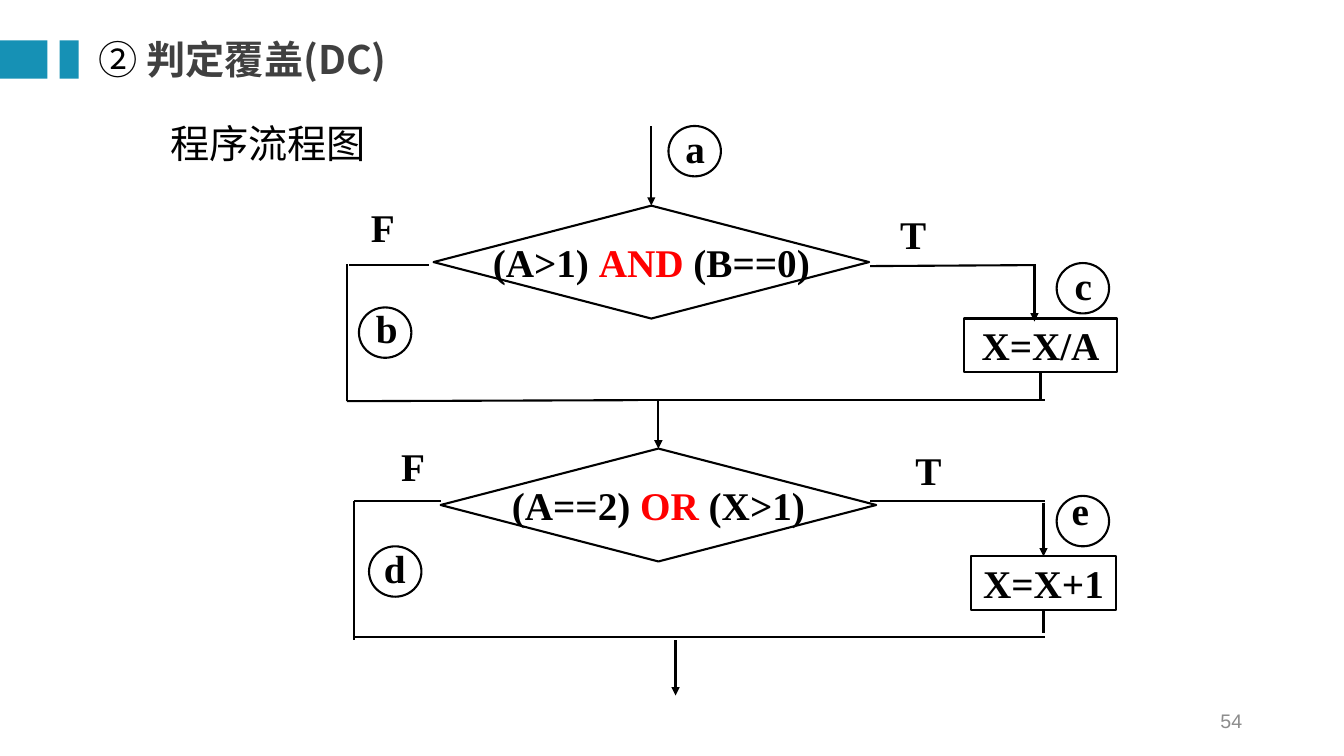
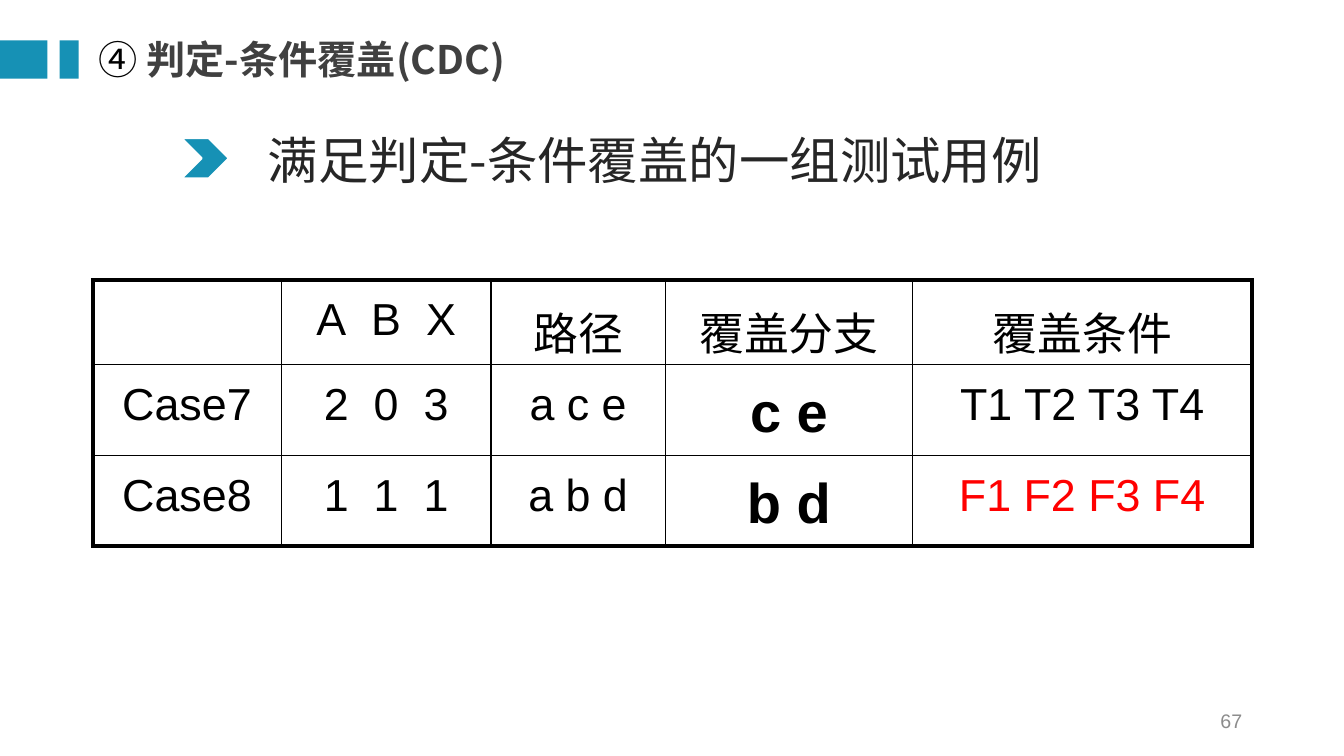
from dataclasses import dataclass, replace

from lxml import etree
from pptx import Presentation
from pptx.dml.color import RGBColor
from pptx.enum.shapes import MSO_CONNECTOR, MSO_SHAPE
from pptx.enum.text import MSO_ANCHOR, PP_ALIGN
from pptx.oxml.ns import qn
from pptx.util import Pt

RECTANGLE, DIAMOND = MSO_SHAPE.RECTANGLE, MSO_SHAPE.DIAMOND
ELLIPSE, CHEVRON = MSO_SHAPE.OVAL, MSO_SHAPE.CHEVRON
STRAIGHT = MSO_CONNECTOR.STRAIGHT
LEFT, CENTER, RIGHT = PP_ALIGN.LEFT, PP_ALIGN.CENTER, PP_ALIGN.RIGHT
TOP, MIDDLE = MSO_ANCHOR.TOP, MSO_ANCHOR.MIDDLE

BLACK = RGBColor(0x00, 0x00, 0x00)
WHITE = RGBColor(0xFF, 0xFF, 0xFF)
RED = RGBColor(0xFF, 0x00, 0x00)
TEAL = RGBColor(0x16, 0x91, 0xB5)
TITLE_GRAY = RGBColor(0x40, 0x40, 0x40)
TEXT_GRAY = RGBColor(0x26, 0x26, 0x26)
NUMBER_GRAY = RGBColor(0x8C, 0x8C, 0x8C)

HAN, SERIF, SANS, NUMERAL = "Noto Sans CJK SC", "Times New Roman", "Arial", "Lato"
PX = 9144  # 100 px to the inch
LINE_WIDTH = Pt(1.5)
SIDE_TOP, SIDE_BOTTOM = 0, 2


@dataclass(frozen=True)
class Span:
    text: str
    font: str = SERIF
    size: int = 28
    color: RGBColor = BLACK
    bold: bool = False
    spacing: int = 0  # hundredths of a point


@dataclass(frozen=True)
class Step:
    name: str
    preset: int
    box: tuple[int, int, int, int]
    spans: list[Span]


@dataclass(frozen=True)
class Badge:
    letter: str
    left: int
    top: int
    shift_x: int = 7
    shift_y: int = -7


@dataclass(frozen=True)
class Flow:
    start: tuple[int, int]
    end: tuple[int, int]
    arrow: bool = False
    leaves: str = ""
    enters: str = ""


def code(text: str, color: RGBColor = BLACK) -> Span:
    return Span(text, color=color, bold=True)


# Flowchart content
STEPS = [
    Step("and", DIAMOND, (430, 204, 432, 112),
         [code("(A>1) "), code("AND ", RED), code("(B==0)")]),
    Step("or", DIAMOND, (437, 445, 432, 112),
         [code("(A==2) "), code("OR", RED), code(" (X>1)")]),
    Step("divide", RECTANGLE, (956, 316, 152, 53), [code("X=X/A")]),
    Step("increment", RECTANGLE, (963, 552, 144, 53), [code("X=X+1")]),
]
BADGES = [
    Badge("a", 663, 125),
    Badge("b", 356, 305, shift_y=-8),
    Badge("c", 1048, 261, shift_x=8),
    Badge("d", 366, 542, shift_x=5),
    Badge("e", 1048, 492, shift_x=5, shift_y=-14),
]
BRANCHES = [("F", 358, 197), ("F", 388, 434), ("T", 883, 204), ("T", 898, 438)]
FLOWS = [
    # First decision
    Flow((646, 125), (646, 204), arrow=True, enters="and"),
    Flow((425, 263), (346, 263)),
    Flow((344, 262), (344, 398)),
    Flow((863, 264), (1026, 263)),
    Flow((1026, 262), (1026, 319), arrow=True),
    Flow((1032, 369), (1032, 398), leaves="divide"),
    Flow((344, 398), (633, 397)),
    Flow((596, 397), (1036, 397)),
    # Second decision
    Flow((653, 398), (653, 445), arrow=True, enters="or"),
    Flow((437, 497), (351, 497)),
    Flow((351, 497), (351, 635)),
    Flow((863, 497), (1036, 497)),
    Flow((1035, 499), (1035, 552), arrow=True, enters="increment"),
    Flow((1035, 605), (1035, 628), leaves="increment"),
    Flow((351, 632), (1036, 632)),
    Flow((670, 635), (670, 690), arrow=True),
]

# Test case table content
TABLE_LEFT, TABLE_TOP = 92, 278
COLUMN_WIDTHS = [187, 208, 173, 245, 337]
ROW_HEIGHTS = [84, 90, 90]
BODY = Span("", SANS, 32)
HEADING = replace(BODY, font=HAN)
BRANCH = replace(BODY, size=40, bold=True)


def spread(text: str) -> list[Span]:
    """Letters with double-width gaps between them."""
    gap = replace(BODY, text=" ", spacing=890)
    spans = []
    for letter in text.split():
        spans += [gap, replace(BODY, text=letter)]
    return spans[1:]


def case_row(name: str, values: str, route: str, branches: str,
             conditions: str, color: RGBColor = BLACK) -> list[list[Span]]:
    return [
        [replace(BODY, text=name)], spread(values), [replace(BODY, text=route)],
        [replace(BRANCH, text=branches)],
        [replace(BODY, text=conditions, color=color)],
    ]


ROWS = [
    [[], spread("A B X"),
     *([replace(HEADING, text=text)] for text in ("路径", "覆盖分支", "覆盖条件"))],
    case_row("Case7", "2 0 3", "a c e", "c e", "T1 T2 T3 T4"),
    case_row("Case8", "1 1 1", "a b d", "b d", "F1 F2 F3 F4", RED),
]


def px(*lengths: int) -> list[int]:
    return [length * PX for length in lengths]


def write(text_frame, spans: list[Span], align=LEFT, loose: bool = False) -> None:
    paragraph = text_frame.paragraphs[0]
    paragraph.alignment = align
    if loose:
        paragraph.line_spacing = 1.2
        properties = paragraph._p.get_or_add_pPr()
        before = etree.SubElement(properties, qn("a:spcBef"))
        etree.SubElement(before, qn("a:spcPct"), val="20000")
    for span in spans:
        run = paragraph.add_run()
        run.text = span.text
        run.font.name = span.font
        run.font.size = Pt(span.size)
        run.font.bold = span.bold
        run.font.color.rgb = span.color
        properties = run._r.get_or_add_rPr()
        etree.SubElement(properties, qn("a:ea"), typeface=HAN)
        if span.spacing:
            properties.set("spc", str(span.spacing))


def add_text(slide, box: tuple[int, int, int, int], spans: list[Span], align=LEFT,
             anchor=TOP, loose: bool = False, inset: bool = True) -> None:
    text_frame = slide.shapes.add_textbox(*px(*box)).text_frame
    text_frame.word_wrap = True
    text_frame.vertical_anchor = anchor
    if not inset:
        text_frame.margin_left = text_frame.margin_right = 0
        text_frame.margin_top = text_frame.margin_bottom = 0
    write(text_frame, spans, align, loose)


def add_shape(slide, preset: int, box: tuple[int, int, int, int],
              fill: RGBColor | None = None, line: RGBColor | None = None):
    shape = slide.shapes.add_shape(preset, *px(*box))
    shape.shadow.inherit = False
    if fill is None:
        shape.fill.background()
    else:
        shape.fill.solid()
        shape.fill.fore_color.rgb = fill
    if line is None:
        shape.line.fill.background()
    else:
        shape.line.color.rgb = line
        shape.line.width = LINE_WIDTH
    return shape


def add_flow(slide, flow: Flow, steps: dict) -> None:
    connector = slide.shapes.add_connector(STRAIGHT, *px(*flow.start, *flow.end))
    if flow.leaves:
        connector.begin_connect(steps[flow.leaves], SIDE_BOTTOM)
    if flow.enters:
        connector.end_connect(steps[flow.enters], SIDE_TOP)
    connector.line.color.rgb = BLACK
    connector.line.width = LINE_WIDTH
    properties = connector._element.spPr
    if flow.arrow:
        etree.SubElement(properties.find(qn("a:ln")), qn("a:tailEnd"), type="triangle")
    etree.SubElement(properties, qn("a:effectLst"))


def set_borders(cell, widths: dict[str, int]) -> None:
    properties = cell._tc.get_or_add_tcPr()
    for side, points in widths.items():
        line = etree.SubElement(properties, qn(f"a:ln{side}"), w=str(Pt(points)))
        fill = etree.SubElement(line, qn("a:solidFill"))
        etree.SubElement(fill, qn("a:srgbClr"), val=str(BLACK))


def add_slide(presentation, numeral: str, title: str, number: str):
    """Blank slide with the shared title bars, title and page number."""
    slide = presentation.slides.add_slide(presentation.slide_layouts[6])
    for left, width in ((0, 47), (59, 19)):
        add_shape(slide, RECTANGLE, (left, 40, width, 38), fill=TEAL)
    add_text(slide, (98, 31, 807, 55),
             [Span(f"{numeral} ", NUMERAL), Span(title, HAN, color=TITLE_GRAY, bold=True)],
             anchor=MIDDLE, inset=False)
    add_text(slide, (942, 695, 300, 40), [Span(number, SANS, 14, NUMBER_GRAY)],
             align=RIGHT, anchor=MIDDLE)
    return slide


def build_flowchart(presentation) -> None:
    slide = add_slide(presentation, "②", "判定覆盖(DC)", "54")
    add_text(slide, (159, 113, 297, 57), [Span("程序流程图", HAN)])
    steps = {}
    for step in STEPS:
        shape = add_shape(slide, step.preset, step.box, line=BLACK)
        shape.text_frame.word_wrap = False
        shape.text_frame.vertical_anchor = MIDDLE
        write(shape.text_frame, step.spans, CENTER)
        steps[step.name] = shape
    for flow in FLOWS:
        add_flow(slide, flow, steps)
    labels = list(BRANCHES)
    for badge in BADGES:
        add_shape(slide, ELLIPSE, (badge.left, badge.top, 52, 50), WHITE, BLACK)
        labels.append((badge.letter, badge.left + badge.shift_x, badge.top + badge.shift_y))
    for text, left, top in labels:
        add_text(slide, (left, top, 47, 57), [code(text)])


def build_test_cases(presentation) -> None:
    slide = add_slide(presentation, "④", "判定-条件覆盖(CDC)", "67")
    add_shape(slide, CHEVRON, (180, 137, 47, 40), TEAL, WHITE)
    add_text(slide, (256, 111, 873, 83),
             [Span("满足判定-条件覆盖的一组测试用例", HAN, 36, TEXT_GRAY)], loose=True)

    table = slide.shapes.add_table(
        len(ROW_HEIGHTS), len(COLUMN_WIDTHS),
        *px(TABLE_LEFT, TABLE_TOP, sum(COLUMN_WIDTHS), sum(ROW_HEIGHTS))).table
    table.first_row = table.horz_banding = False
    for column, width in zip(table.columns, COLUMN_WIDTHS):
        column.width = width * PX
    for row, height in zip(table.rows, ROW_HEIGHTS):
        row.height = height * PX

    last_row, last_column = len(ROW_HEIGHTS) - 1, len(COLUMN_WIDTHS) - 1
    for row_index, row_spans in enumerate(ROWS):
        for column_index, spans in enumerate(row_spans):
            cell = table.cell(row_index, column_index)
            # Thick outer frame, thin inner grid
            outer = {"L": column_index == 0, "R": column_index == last_column,
                     "T": row_index == 0, "B": row_index == last_row}
            set_borders(cell, {side: 3 if edge else 1 for side, edge in outer.items()})
            cell.fill.background()
            write(cell.text_frame, spans, CENTER, loose=True)


def main() -> None:
    presentation = Presentation()
    presentation.slide_width, presentation.slide_height = px(1333, 750)
    build_flowchart(presentation)
    build_test_cases(presentation)
    presentation.save("out.pptx")


if __name__ == "__main__":
    main()
